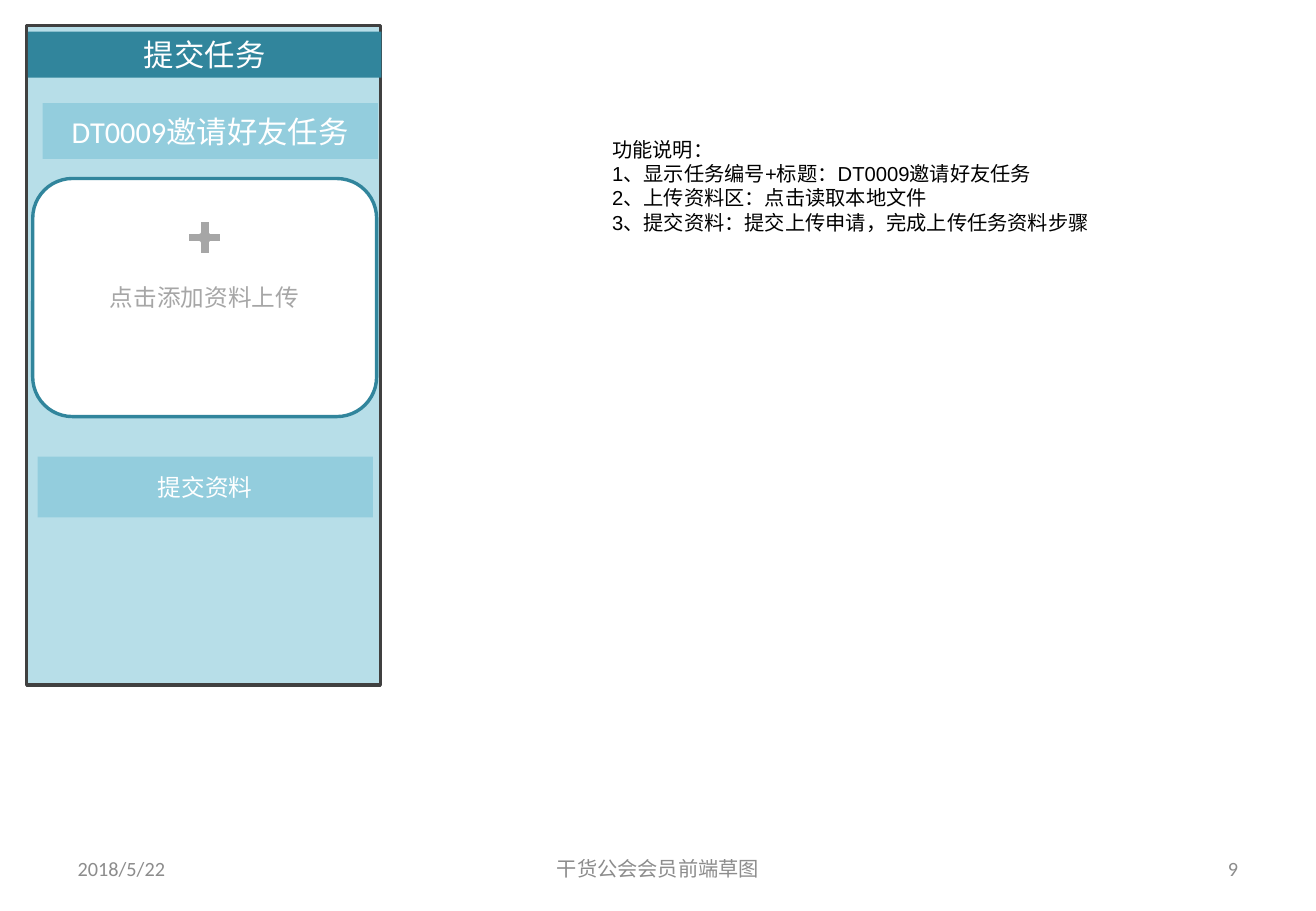
from pptx import Presentation, util as u
from pptx.dml.color import RGBColor
from pptx.enum import shapes, text

deck = Presentation()
deck.slide_width, deck.slide_height = u.Inches(10.83), u.Inches(7.5)
page = deck.slides.add_slide(deck.slide_layouts[6])

WHITE, GREY, TEAL, SKY = "FFFFFF", "A6A6A6", "31859C", "93CDDD"
LEFT, CENTER, RIGHT = text.PP_ALIGN.LEFT, text.PP_ALIGN.CENTER, text.PP_ALIGN.RIGHT
MIDDLE, TOP = text.MSO_ANCHOR.MIDDLE, text.MSO_ANCHOR.TOP
RECT = shapes.MSO_SHAPE.RECTANGLE


def share(left, top, width, height):
    """Turn percentages of the slide into lengths."""
    across, down = deck.slide_width / 100, deck.slide_height / 100
    return [u.Emu(round(n)) for n in (left * across, top * down, width * across, height * down)]


def write(holder, lines, size, font, color, align=CENTER, anchor=MIDDLE):
    frame = holder.text_frame
    frame.word_wrap = True
    frame.vertical_anchor = anchor
    for number, line in enumerate(lines):
        paragraph = frame.add_paragraph() if number else frame.paragraphs[0]
        paragraph.alignment = align
        run = paragraph.add_run()
        run.text = line
        run.font.size, run.font.name = u.Pt(size), font
        run.font.color.rgb = RGBColor.from_string(color)


# Phone screen: preset, place, fill, outline, label, size, font, label colour
screen_parts = [
    (RECT, (2.03, 2.8, 26.87, 72.4), "B7DEE8", "404040", None, 0, "", ""),
    (RECT, (3.23, 11.33, 25.48, 6.13), SKY, None, "DT0009邀请好友任务", 18, "Calibri", WHITE),
    (RECT, (2.86, 50.13, 25.48, 6.67), SKY, None, "提交资料", 14, "Arial", WHITE),
    (RECT, (2.12, 3.47, 26.87, 5.07), TEAL, None, "提交任务", 18, "Calibri", WHITE),
    (shapes.MSO_SHAPE.ROUNDED_RECTANGLE, (2.49, 19.6, 26.13, 26.13), WHITE, TEAL,
     "点击添加资料上传", 14, "Calibri", GREY),
    (shapes.MSO_SHAPE.MATH_PLUS, (13.76, 23.47, 3.6, 5.2), GREY, WHITE, None, 0, "", ""),
]
for preset, place, fill, outline, label, size, font, color in screen_parts:
    part = page.shapes.add_shape(preset, *share(*place))
    part.shadow.inherit = False
    part.fill.solid()
    part.fill.fore_color.rgb = RGBColor.from_string(fill)
    if outline:
        part.line.color.rgb = RGBColor.from_string(outline)
        part.line.width = u.Pt(2)
    else:
        part.line.fill.background()
    if label:
        write(part, [label], size, font, color)

# Function notes
notes = page.shapes.add_textbox(*share(45.61, 14.4, 46.54, 12.13))
write(notes, [
    "功能说明：",
    "1、显示任务编号+标题：DT0009邀请好友任务",
    "2、上传资料区：点击读取本地文件",
    "3、提交资料：提交上传申请，完成上传任务资料步骤",
], 12, "Arial", "000000", LEFT, TOP)

# Footer: date, document name, page number
for entry, left, width, align in [
    ("2018/5/22", 5, 23.33, LEFT),
    ("干货公会会员前端草图", 34.17, 31.67, CENTER),
    ("9", 71.67, 23.33, RIGHT),
]:
    footer = page.shapes.add_textbox(*share(left, 92.67, width, 5.33))
    write(footer, [entry], 12, "Calibri", "8C8C8C", align)

deck.save("out.pptx")
